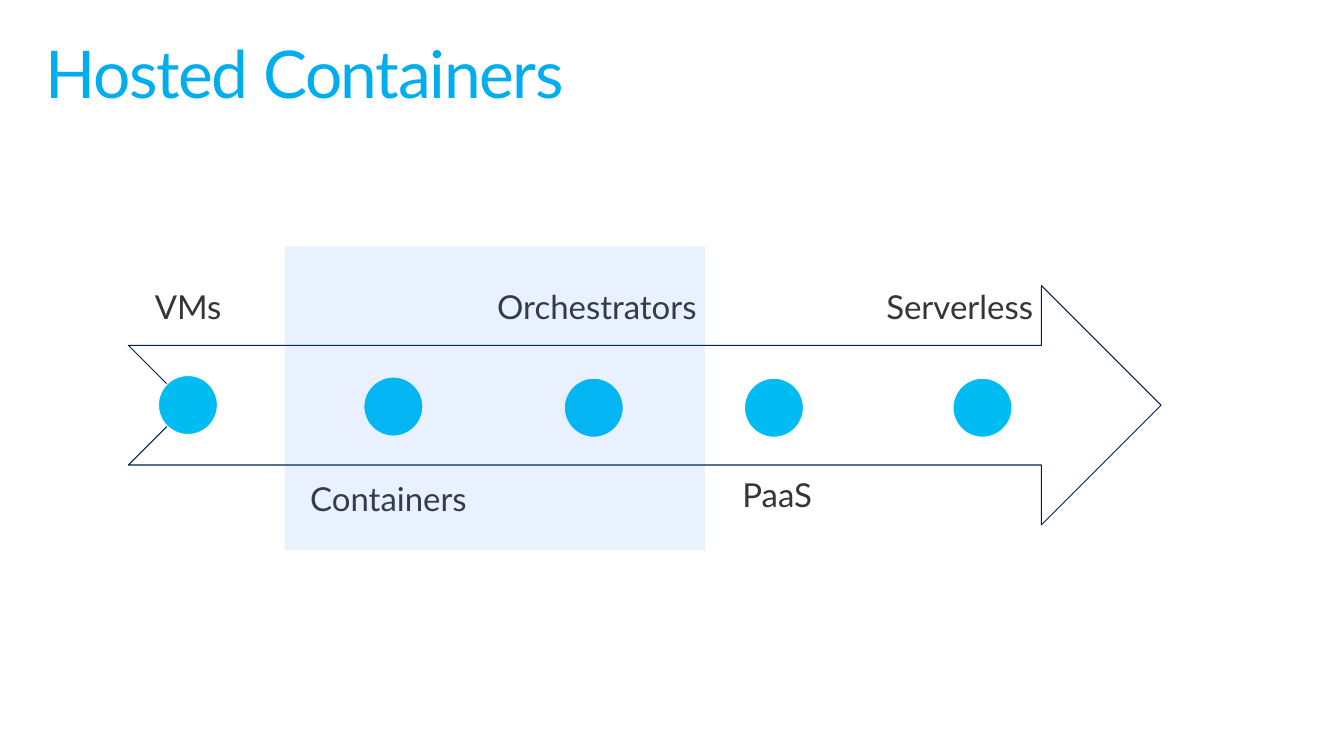
from dataclasses import dataclass

from lxml.etree import SubElement
from pptx import Presentation
from pptx.dml.color import RGBColor
from pptx.enum.shapes import MSO_SHAPE as Preset
from pptx.enum.text import MSO_ANCHOR as Anchor, PP_ALIGN as Align
from pptx.oxml.ns import qn
from pptx.shapes.autoshape import Shape
from pptx.slide import Slide
from pptx.util import Cm, Pt


@dataclass(frozen=True)
class Theme:
    font: str = "Lato"
    title_size: int = 48
    label_size: int = 24
    title: RGBColor = RGBColor(0x00, 0xAE, 0xEF)
    label: RGBColor = RGBColor(0x35, 0x35, 0x35)
    outline: RGBColor = RGBColor(0x00, 0x20, 0x50)
    marker: RGBColor = RGBColor(0x00, 0xBC, 0xF2)
    marker_edge: RGBColor = RGBColor(0xFF, 0xFF, 0xFF)
    highlight: RGBColor = RGBColor(0x28, 0x7E, 0xFF)
    highlight_alpha: int = 10


@dataclass(frozen=True)
class Box:
    left: float
    top: float
    width: float
    height: float

    def lengths(self) -> tuple[Cm, Cm, Cm, Cm]:
        return Cm(self.left), Cm(self.top), Cm(self.width), Cm(self.height)


@dataclass(frozen=True)
class Stage:
    name: str
    label_left: float
    label_top: float
    label_width: float
    marker_left: float
    marker_top: float
    anchor: Anchor


THEME = Theme()
ARROW = Box(3.3, 7.34, 26.54, 6.15)
FOCUS_AREA = Box(7.32, 6.32, 10.8, 7.82)
TITLE = Box(0.76, 0.81, 33.02, 2.54)
MARKER_SIZE = 1.52
ABOVE = 2.7
STAGES = [
    Stage("VMs", 3.3, ABOVE, 3.07, 4.07, 9.65, Anchor.BOTTOM),
    Stage("Containers", 7.37, 11.96, 5.23, 9.35, 9.69, Anchor.TOP),
    Stage("Orchestrators", 11.91, ABOVE, 6.86, 14.5, 9.72, Anchor.BOTTOM),
    Stage("PaaS", 18.44, 11.86, 3.07, 19.13, 9.72, Anchor.TOP),
    Stage("Serverless", 22.15, ABOVE, 5.03, 24.49, 9.72, Anchor.BOTTOM),
]


def write_text(holder: Shape, text: str, size: int, color: RGBColor,
               align: Align, anchor: Anchor, inset_x: float, inset_y: float) -> None:
    frame = holder.text_frame
    frame.text = text
    frame.word_wrap = True
    frame.vertical_anchor = anchor
    frame.margin_left = frame.margin_right = Cm(inset_x)
    frame.margin_top = frame.margin_bottom = Cm(inset_y)
    paragraph = frame.paragraphs[0]
    paragraph.alignment = align
    paragraph.line_spacing = 0.9
    font = paragraph.runs[0].font
    font.name, font.size = THEME.font, Pt(size)
    font.color.rgb = color


def add_preset(slide: Slide, preset: Preset, box: Box, fill: RGBColor | None = None,
               line: RGBColor | None = None, line_width: float = 0.75) -> Shape:
    shape = slide.shapes.add_shape(preset, *box.lengths())
    shape.shadow.inherit = False
    if fill is None:
        shape.fill.background()
    else:
        shape.fill.solid()
        shape.fill.fore_color.rgb = fill
    if line is None:
        shape.line.fill.background()
    else:
        shape.line.color.rgb = line
        shape.line.width = Pt(line_width)
    return shape


def add_stage(slide: Slide, stage: Stage) -> None:
    label_box = Box(stage.label_left, stage.label_top, stage.label_width, ARROW.height)
    label = slide.shapes.add_textbox(*label_box.lengths())
    write_text(label, stage.name, THEME.label_size, THEME.label,
               Align.CENTER, stage.anchor, 0.48, 0.48)
    marker_box = Box(stage.marker_left, stage.marker_top, MARKER_SIZE, MARKER_SIZE)
    add_preset(slide, Preset.OVAL, marker_box, THEME.marker, THEME.marker_edge, 0.85)


def add_focus_area(slide: Slide) -> None:
    area = add_preset(slide, Preset.RECTANGLE, FOCUS_AREA, THEME.highlight)
    color = area.fill._xPr.find(f"{qn('a:solidFill')}/{qn('a:srgbClr')}")
    SubElement(color, qn("a:alpha"), val=str(THEME.highlight_alpha * 1000))


def set_title(slide: Slide, text: str) -> None:
    title = slide.shapes.title
    title.left, title.top, title.width, title.height = TITLE.lengths()
    write_text(title, text, THEME.title_size, THEME.title,
               Align.LEFT, Anchor.TOP, 0.41, 0.25)
    title.text_frame.paragraphs[0].runs[0].font._element.set("spc", "-100")


def main() -> None:
    deck = Presentation()
    deck.slide_width, deck.slide_height = Cm(34.54), Cm(19.43)
    slide = deck.slides.add_slide(deck.slide_layouts[5])
    set_title(slide, "Hosted Containers")
    add_preset(slide, Preset.NOTCHED_RIGHT_ARROW, ARROW, line=THEME.outline)
    for stage in STAGES:
        add_stage(slide, stage)
    add_focus_area(slide)
    deck.save("out.pptx")


if __name__ == "__main__":
    main()
